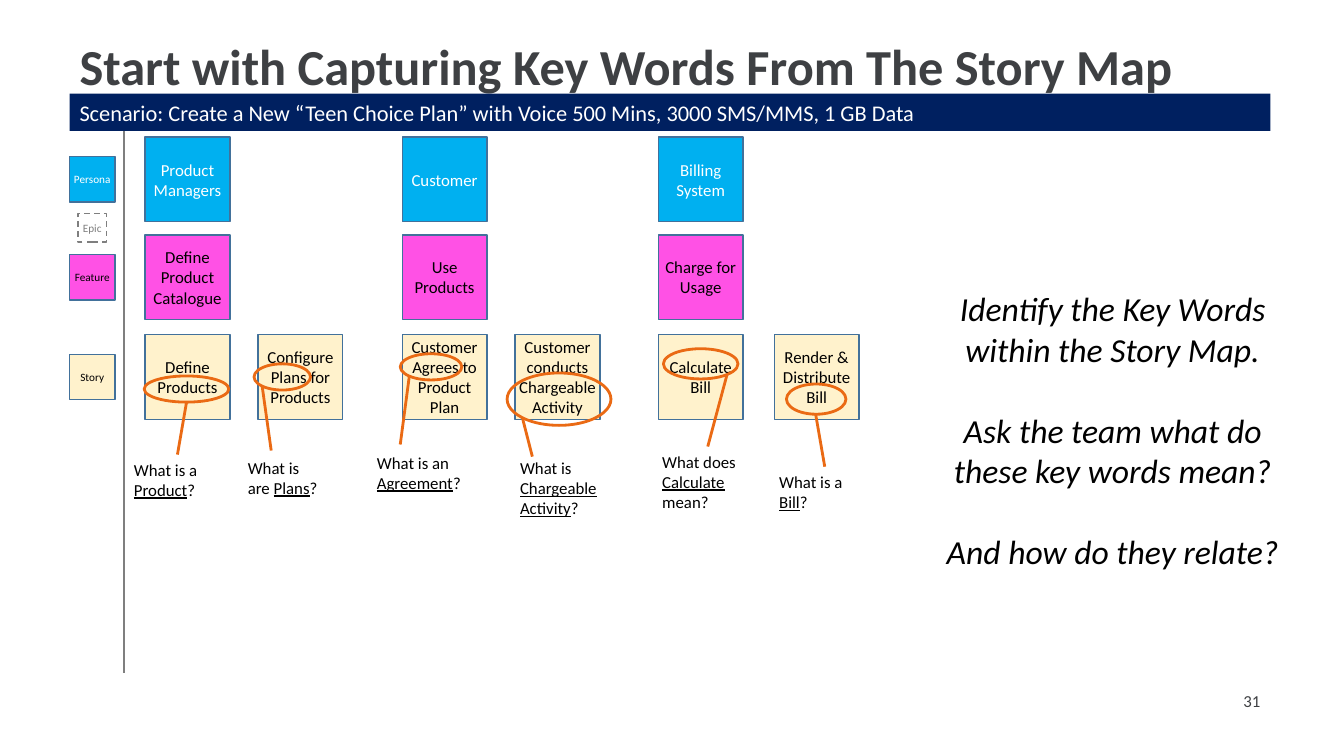
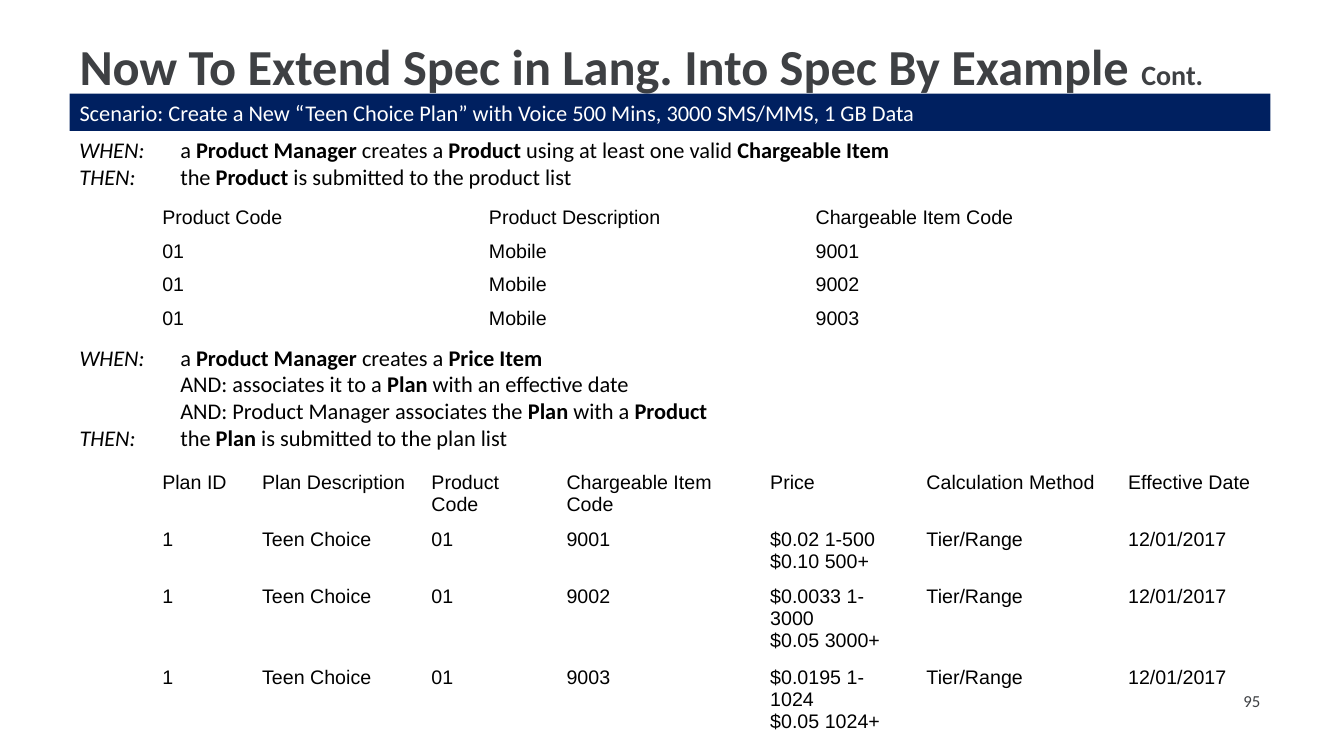
from dataclasses import dataclass
from typing import NamedTuple, Optional

import pptx
import pptx.dml.color
import pptx.enum.dml
import pptx.enum.shapes
import pptx.enum.text
import pptx.oxml
import pptx.oxml.ns
import pptx.util

Inches = pptx.util.Inches
Pt = pptx.util.Pt
RGBColor = pptx.dml.color.RGBColor
ALIGN = pptx.enum.text.PP_ALIGN
ANCHOR = pptx.enum.text.MSO_ANCHOR
SHAPE = pptx.enum.shapes.MSO_SHAPE

# Shared look
BLACK = RGBColor(0x00, 0x00, 0x00)
WHITE = RGBColor(0xFF, 0xFF, 0xFF)
CHARCOAL = RGBColor(0x3E, 0x40, 0x43)
GREY = RGBColor(0x7F, 0x7F, 0x7F)
NAVY = RGBColor(0x00, 0x20, 0x60)
CARD_EDGE = RGBColor(0x42, 0x71, 0x9B)
SKY = RGBColor(0x00, 0xB0, 0xF0)
PINK = RGBColor(0xFF, 0x51, 0xE5)
CREAM = RGBColor(0xFF, 0xF2, 0xCC)
ORANGE = RGBColor(0xEA, 0x6A, 0x14)
BODY_FONT = "Calibri"
TABLE_FONT = "Arial"
MARGIN, CONTENT_WIDTH = 0.69, 11.91
SCENARIO = ("Scenario: Create a New “Teen Choice Plan” with Voice 500 Mins, "
            "3000 SMS/MMS, 1 GB Data")

# Inline marks that switch a format on and off
MARKS = {"*": "bold", "~": "italic", "_": "underline", "^": "small"}


class Box(NamedTuple):
    left: float
    top: float
    width: float
    height: float

    def lengths(self) -> list:
        return [Inches(value) for value in self]


class Level(NamedTuple):
    name: str
    top: float
    fill: RGBColor
    ink: RGBColor


@dataclass
class Journey:
    left: float
    persona: str
    feature: str
    stories: dict[float, str]


@dataclass
class Question:
    oval: Box
    pointer: tuple
    label: Box
    text: str


PERSONA = Level("Persona", 1.36, SKY, WHITE)
FEATURE = Level("Feature", 2.33, PINK, BLACK)
STORY = Level("Story", 3.32, CREAM, BLACK)
CARD, LEGEND_CARD, EPIC_CARD = 0.84, 0.45, 0.28

JOURNEYS = [
    Journey(1.44, "Product Managers", "Define Product Catalogue",
            {1.44: "Define Products", 2.56: "Configure Plans for Products"}),
    Journey(3.99, "Customer", "Use Products",
            {3.99: "Customer Agrees to Product Plan",
             5.11: "Customer conducts Chargeable Activity"}),
    Journey(6.53, "Billing System", "Charge for Usage",
            {6.53: "Calculate\nBill", 7.68: "Render & Distribute Bill"}),
]

QUESTIONS = [
    Question(Box(1.43, 3.73, 0.84, 0.26), (1.85, 3.99, 1.76, 4.51),
             Box(1.23, 4.51, 0.88, 0.5), "What is a _Product_?"),
    Question(Box(2.52, 3.61, 0.56, 0.26), (2.6, 3.83, 2.69, 4.47),
             Box(2.36, 4.49, 0.96, 0.5), "What is are _Plans_?"),
    Question(Box(3.97, 3.51, 0.61, 0.26), (4.06, 3.73, 3.97, 4.41),
             Box(3.64, 4.44, 1.1, 0.5), "What is an _Agreement_?"),
    Question(Box(5.03, 3.7, 1.03, 0.52), (5.18, 4.14, 5.28, 4.53),
             Box(5.06, 4.49, 1.1, 0.71), "What is _Chargeable Activity_?"),
    Question(Box(6.58, 3.46, 0.74, 0.3), (7.21, 3.72, 7.02, 4.43),
             Box(6.47, 4.43, 1.1, 0.71), "What does _Calculate_ mean?"),
    Question(Box(7.8, 3.81, 0.59, 0.3), (8.09, 4.11, 8.18, 4.63),
             Box(7.63, 4.63, 1.1, 0.5), "What is a _Bill_?"),
]

PRODUCT_ROWS = [["Product Code", "Product Description", "Chargeable Item Code"]]
PRODUCT_ROWS += [["01", "Mobile", item] for item in ("9001", "9002", "9003")]

PRICES = {"9001": "$0.02 1-500\n$0.10 500+",
          "9002": "$0.0033 1-3000\n$0.05 3000+",
          "9003": "$0.0195 1-1024\n$0.05 1024+"}
PLAN_ROWS = [["Plan ID", "Plan Description", "Product Code", "Chargeable Item Code",
              "Price", "Calculation Method", "Effective Date"]]
PLAN_ROWS += [["1", "Teen Choice", "01", item, price, "Tier/Range", "12/01/2017"]
              for item, price in PRICES.items()]

PRODUCT_RULE = (
    "~WHEN:~\ta *Product Manager* creates a *Product* using at least one valid "
    "*Chargeable Item*\n"
    "~THEN:~\tthe *Product* is submitted to the product list")
PLAN_RULE = (
    "~WHEN:~\ta *Product Manager* creates a *Price Item*\n"
    "\tAND: associates it to a *Plan* with an effective date\n"
    "\tAND: Product Manager associates the *Plan* with a *Product*\n"
    "~THEN:~\tthe *Plan* is submitted to the plan list")


# Text
def split_runs(line: str) -> list:
    """Split a marked line into (text, active formats) pairs."""
    runs, active, text = [], frozenset(), ""
    for letter in line:
        if letter in MARKS:
            runs.append((text, active))
            active, text = active ^ {MARKS[letter]}, ""
        else:
            text += letter
    runs.append((text, active))
    return [run for run in runs if run[0]]


def write_text(frame, text: str, *, size: float = 12, font: str = BODY_FONT,
               color: RGBColor = BLACK, bold: bool = False, italic: bool = False,
               align=ALIGN.LEFT, anchor=ANCHOR.TOP, inset: Optional[float] = None,
               gap: float = 0, spacing: Optional[float] = None,
               tab: Optional[float] = None) -> None:
    frame.word_wrap = True
    frame.vertical_anchor = anchor
    if inset is not None:
        frame.margin_left = frame.margin_right = Inches(inset)
        frame.margin_top = frame.margin_bottom = Inches(inset)
    for index, line in enumerate(text.split("\n")):
        paragraph = frame.add_paragraph() if index else frame.paragraphs[0]
        if tab:
            stops = pptx.oxml.parse_xml(
                f'<a:tabLst {pptx.oxml.ns.nsdecls("a")}>'
                f'<a:tab pos="{Inches(tab)}" algn="l"/></a:tabLst>')
            paragraph._p.get_or_add_pPr().append(stops)
        paragraph.alignment = align
        if spacing:
            paragraph.line_spacing = spacing
        if index and gap:
            paragraph.space_before = Pt(gap)
        for part, formats in split_runs(line):
            run = paragraph.add_run()
            run.text = part
            run.font.name = font
            run.font.size = Pt(20 if "small" in formats else size)
            run.font.color.rgb = color
            run.font.bold = bold or "bold" in formats
            run.font.italic = italic or "italic" in formats
            run.font.underline = "underline" in formats


def add_label(slide, box: Box, text: str, **style) -> None:
    write_text(slide.shapes.add_textbox(*box.lengths()).text_frame, text, **style)


# Shapes, lines and tables
def add_outline(slide, kind, box: Box, fill: Optional[RGBColor] = None,
                edge: Optional[RGBColor] = None, weight: float = 1):
    outline = slide.shapes.add_shape(kind, *box.lengths())
    outline.shadow.inherit = False
    if fill is None:
        outline.fill.background()
    else:
        outline.fill.solid()
        outline.fill.fore_color.rgb = fill
    if edge is None:
        outline.line.fill.background()
    else:
        outline.line.color.rgb = edge
        outline.line.width = Pt(weight)
    return outline


def add_line(slide, ends: tuple, color: RGBColor, weight: float) -> None:
    line = slide.shapes.add_connector(
        pptx.enum.shapes.MSO_CONNECTOR.STRAIGHT, *(Inches(value) for value in ends))
    line.line.color.rgb = color
    line.line.width = Pt(weight)
    line._element.spPr.append(
        pptx.oxml.parse_xml(f'<a:effectLst {pptx.oxml.ns.nsdecls("a")}/>'))


def add_card(slide, left: float, top: float, side: float, text: str, *,
             fill: Optional[RGBColor], ink: RGBColor, size: float,
             edge: RGBColor = CARD_EDGE):
    card = add_outline(slide, SHAPE.RECTANGLE, Box(left, top, side, side), fill, edge)
    write_text(card.text_frame, text, size=size, color=ink, align=ALIGN.CENTER,
               anchor=ANCHOR.MIDDLE, inset=0.03)
    return card


def add_plain_table(slide, left: float, top: float, widths: list, heights: list,
                    rows: list) -> None:
    box = Box(left, top, sum(widths), sum(heights))
    table = slide.shapes.add_table(len(rows), len(widths), *box.lengths()).table
    table.first_row = table.horz_banding = False
    for column, width in zip(table.columns, widths):
        column.width = Inches(width)
    for row, height, values in zip(table.rows, heights, rows):
        row.height = Inches(height)
        for cell, value in zip(row.cells, values):
            cell.fill.background()
            write_text(cell.text_frame, value, size=14, font=TABLE_FONT)


# Slides
def start_slide(deck, title: str, number: int):
    slide = deck.slides.add_slide(deck.slide_layouts[6])
    add_label(slide, Box(MARGIN, 0.37, CONTENT_WIDTH, 0.65), title, size=36,
              color=CHARCOAL, bold=True, spacing=0.9)
    add_label(slide, Box(9.6, 6.75, 3, 0.4), str(number), color=CHARCOAL,
              align=ALIGN.RIGHT, anchor=ANCHOR.MIDDLE)
    band = add_outline(slide, SHAPE.RECTANGLE, Box(MARGIN, 0.93, CONTENT_WIDTH, 0.37), NAVY)
    write_text(band.text_frame, SCENARIO, size=16, color=WHITE)
    return slide


def build_story_map(deck) -> None:
    slide = start_slide(deck, "Start with Capturing Key Words From The Story Map", 31)

    # Legend, centred on each row of cards
    add_line(slide, (1.23, 1.3, 1.23, 6.68), GREY, 0.75)
    for level in (PERSONA, FEATURE, STORY):
        add_card(slide, MARGIN, level.top + (CARD - LEGEND_CARD) / 2, LEGEND_CARD,
                 level.name, fill=level.fill, ink=level.ink, size=8)
    epic = add_card(slide, MARGIN + (LEGEND_CARD - EPIC_CARD) / 2, 2.12, EPIC_CARD, "Epic",
                    fill=None, ink=GREY, size=8, edge=GREY)
    epic.line.dash_style = pptx.enum.dml.MSO_LINE.DASH

    # Journeys
    for journey in JOURNEYS:
        cards = [(journey.left, PERSONA, journey.persona),
                 (journey.left, FEATURE, journey.feature)]
        cards += [(left, STORY, story) for left, story in journey.stories.items()]
        for left, level, text in cards:
            add_card(slide, left, level.top, CARD, text, fill=level.fill, ink=level.ink,
                     size=12)

    # Key words and the questions they raise
    for question in QUESTIONS:
        add_outline(slide, SHAPE.OVAL, question.oval, edge=ORANGE, weight=2)
        add_line(slide, question.pointer, ORANGE, 2)
        add_label(slide, question.label, question.text)

    add_label(slide, Box(9.19, 2.81, 3.69, 3.05),
              "Identify the Key Words within the Story Map.\n"
              "Ask the team what do these key words mean?\n"
              "And how do they relate?",
              size=24, italic=True, align=ALIGN.CENTER, gap=29)


def build_specification(deck) -> None:
    slide = start_slide(deck, "Now To Extend Spec in Lang. Into Spec By Example ^Cont.^", 95)
    add_label(slide, Box(MARGIN, 1.3, 10.33, 0.64), PRODUCT_RULE, size=16, tab=1)
    add_plain_table(slide, 1.51, 2, [3.24] * 3, [0.31] * 4, PRODUCT_ROWS)
    add_label(slide, Box(MARGIN, 3.36, 8.91, 1.18), PLAN_RULE, size=16, tab=1)
    add_plain_table(slide, 1.51, 4.63, [0.99, 1.68, 1.34, 2.02, 1.55, 2, 1.49],
                    [0.53, 0.53, 0.75, 0.75], PLAN_ROWS)


def main() -> None:
    deck = pptx.Presentation()
    deck.slide_width, deck.slide_height = Inches(13.33), Inches(7.5)
    build_story_map(deck)
    build_specification(deck)
    deck.save("out.pptx")


if __name__ == "__main__":
    main()
